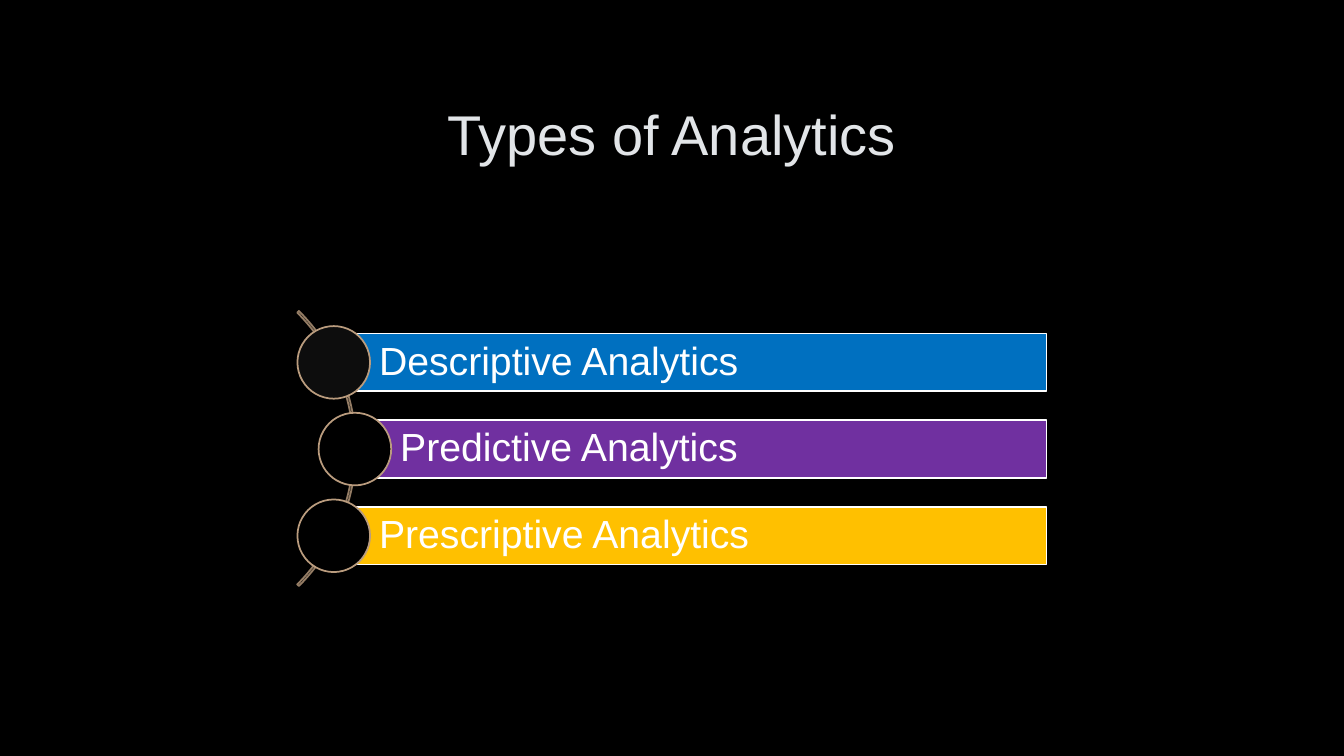
from pptx import Presentation
from pptx.dml.color import RGBColor
from pptx.enum.shapes import MSO_SHAPE
from pptx.enum.text import MSO_ANCHOR, PP_ALIGN
from pptx.util import Inches, Pt

ARC, BAR, CIRCLE = MSO_SHAPE.BLOCK_ARC, MSO_SHAPE.RECTANGLE, MSO_SHAPE.OVAL
MIDDLE = MSO_ANCHOR.MIDDLE
LEFT, CENTER = PP_ALIGN.LEFT, PP_ALIGN.CENTER

COLORS = {
    "black": "000000", "charcoal": "0D0D0D", "title": "E2E5E8", "white": "FFFFFF",
    "blue": "0070C0", "purple": "7030A0", "gold": "FFC000",
    "arc": "957D65", "ring": "BA9C7E",
}


def add_outlined(kind, left, top, width, height, fill, line):
    shape = page.shapes.add_shape(kind, Inches(left), Inches(top), Inches(width), Inches(height))
    shape.shadow.inherit = False
    if fill:
        shape.fill.solid()
        shape.fill.fore_color.rgb = RGBColor.from_string(COLORS[fill])
    else:
        shape.fill.background()
    shape.line.color.rgb = RGBColor.from_string(COLORS[line])
    shape.line.width = Pt(1.25)
    return shape


def write_text(box, text, size, color, align):
    frame = box.text_frame
    frame.word_wrap = True
    frame.vertical_anchor = MIDDLE
    frame.text = text
    paragraph = frame.paragraphs[0]
    paragraph.alignment = align
    paragraph.line_spacing = 0.9
    font = paragraph.runs[0].font
    font.name = "Arial"
    font.size = Pt(size)
    font.color.rgb = RGBColor.from_string(COLORS[color])


# Black page
deck = Presentation()
deck.slide_width, deck.slide_height = Inches(13.33), Inches(7.5)
page = deck.slides.add_slide(deck.slide_layouts[6])
page.background.fill.solid()
page.background.fill.fore_color.rgb = RGBColor.from_string(COLORS["black"])

# Title
title = page.shapes.add_textbox(Inches(1), Inches(0.67), Inches(11.32), Inches(1.38))
write_text(title, "Types of Analytics", 40, "title", CENTER)

# Arc behind the circles
arc = add_outlined(ARC, -0.33, 2.52, 3.86, 3.86, None, "arc")
for index, value in enumerate((189, 27, 0.006)):
    arc.adjustments[index] = value

# One bar and circle for each type
TYPES = [
    ("Descriptive Analytics", 3.31, "blue", "charcoal"),
    ("Predictive Analytics", 3.52, "purple", "black"),
    ("Prescriptive Analytics", 3.31, "gold", "black"),
]
FIRST_TOP, STEP, BAR_RIGHT, BAR_HEIGHT, DIAMETER = 3.31, 0.86, 10.38, 0.57, 0.72

for row, (name, left, bar_fill, circle_fill) in enumerate(TYPES):
    top = FIRST_TOP + row * STEP
    bar = add_outlined(BAR, left, top, BAR_RIGHT - left, BAR_HEIGHT, bar_fill, "white")
    write_text(bar, name, 28, "white", LEFT)
    frame = bar.text_frame
    frame.margin_left = Inches(0.45)
    frame.margin_top = frame.margin_right = frame.margin_bottom = Inches(0.08)
    add_outlined(CIRCLE, left - DIAMETER / 2, top + (BAR_HEIGHT - DIAMETER) / 2,
                 DIAMETER, DIAMETER, circle_fill, "ring")

deck.save("out.pptx")
